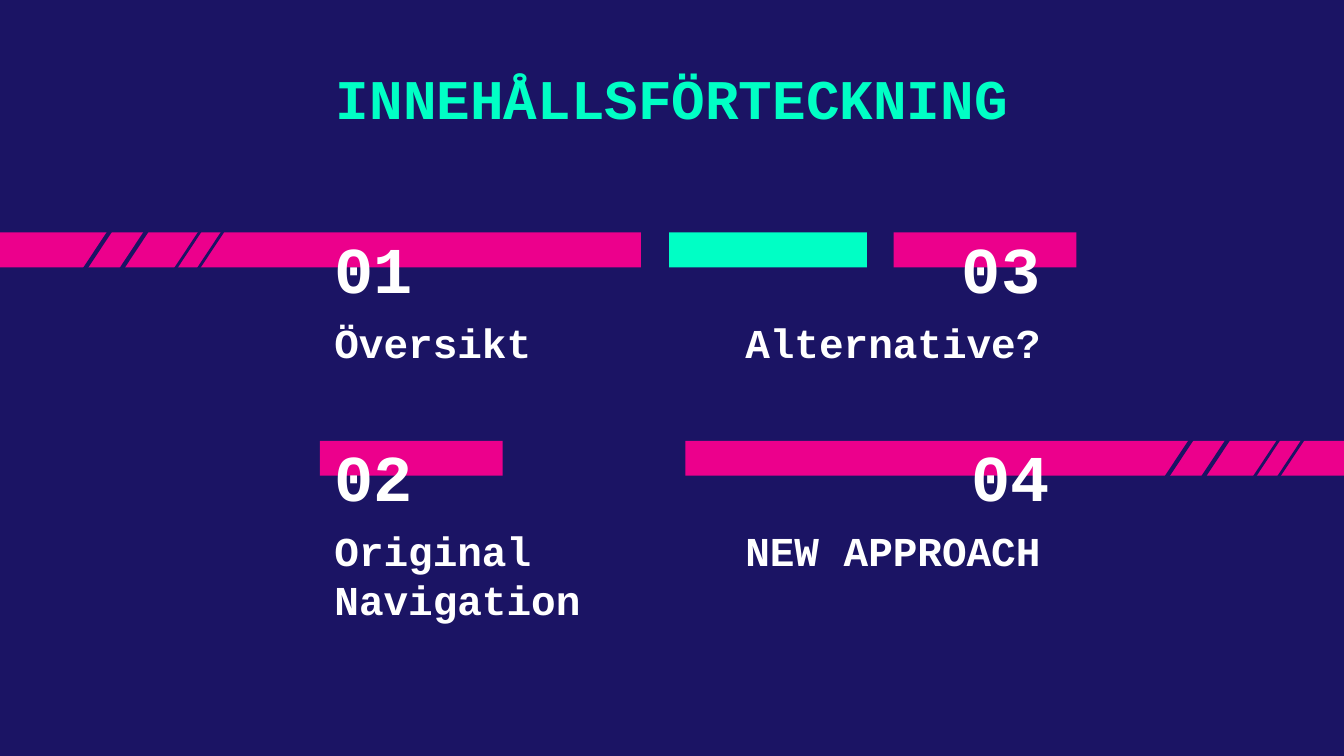
import pptx
import pptx.util
import pptx.dml.color
import pptx.enum.shapes
import pptx.enum.text
import lxml.etree

Inches = pptx.util.Inches
Color = pptx.dml.color.RGBColor
Align = pptx.enum.text.PP_ALIGN
Anchor = pptx.enum.text.MSO_ANCHOR

NAVY = Color(0x1B, 0x14, 0x64)
PINK = Color(0xEC, 0x00, 0x8C)
MINT = Color(0x00, 0xFF, 0xC5)
WHITE = Color(0xFF, 0xFF, 0xFF)
FONT = "Courier New"
WIDE = 10
HIGH = WIDE * 9 / 16

TITLE = "INNEHÅLLSFÖRTECKNING"
# number, its left; caption, its left and width; row, alignment
TOPICS = [
    ("01", 2.39, "Översikt", 2.39, 2.37, 0, Align.LEFT),
    ("02", 2.39, "Original Navigation", 2.39, 3.38, 1, Align.LEFT),
    ("03", 5.47, "Alternative?", 4.69, 3.15, 0, Align.RIGHT),
    ("04", 5.54, "NEW APPROACH", 4.69, 3.15, 1, Align.RIGHT),
]
# row, left, right, colour
BARS = [
    (0, 0, 4.77, PINK),
    (0, 6.65, 8.01, PINK),
    (1, 2.38, 3.74, PINK),
    (1, 5.1, WIDE, PINK),
    (0, 4.98, 6.45, MINT),
]
# row, upper end x, rise above the bar, line width
CUTS = [
    (0, 1.03, 0.33, 2.25), (0, 1.19, 0.16, 2.25),
    (0, 1.53, 0.07, 1.5), (0, 1.7, 0.07, 1.5),
    (1, 9.25, 0.59, 2.25), (1, 9.41, 0.42, 2.25),
    (1, 9.57, 0.09, 1.5), (1, 9.75, 0.09, 1.5),
]
TOP, STEP, THICK = 1.73, 1.55, 0.26
RUN, DROP = 0.57, 0.86  # slant of every cut


def row_top(row):
    return TOP + row * STEP


def add_bar(slide, row, left, right, color):
    bar = slide.shapes.add_shape(
        pptx.enum.shapes.MSO_SHAPE.RECTANGLE, Inches(left),
        Inches(row_top(row)), Inches(right - left), Inches(THICK))
    bar.shadow.inherit = False
    bar.fill.solid()
    bar.fill.fore_color.rgb = color
    bar.line.fill.background()


def add_cut(slide, row, x, rise, width):
    """Draw a slanted background-coloured line across a bar."""
    y = row_top(row) - rise
    cut = slide.shapes.add_connector(
        pptx.enum.shapes.MSO_CONNECTOR.STRAIGHT, Inches(x), Inches(y),
        Inches(x - RUN), Inches(y + DROP))
    cut.line.color.rgb = NAVY
    cut.line.width = pptx.util.Pt(width)
    lxml.etree.SubElement(cut._element.spPr, pptx.oxml.ns.qn("a:effectLst"))


def add_text(slide, text, box, size, color, align, anchor=Anchor.TOP, pad=0):
    frame = slide.shapes.add_textbox(*map(Inches, box)).text_frame
    frame.word_wrap = True
    frame.vertical_anchor = anchor
    frame.margin_left = frame.margin_right = Inches(0.1)
    frame.margin_top = frame.margin_bottom = Inches(pad)
    line = frame.paragraphs[0]
    line.alignment = align
    run = line.add_run()
    run.text = text
    run.font.name = FONT
    run.font.size = pptx.util.Pt(size)
    run.font.bold = True
    run.font.color.rgb = color


def main():
    deck = pptx.Presentation()
    deck.slide_width, deck.slide_height = Inches(WIDE), Inches(HIGH)
    slide = deck.slides.add_slide(deck.slide_layouts[6])
    slide.background.fill.solid()
    slide.background.fill.fore_color.rgb = NAVY

    for bar in BARS:
        add_bar(slide, *bar)
    for cut in CUTS:
        add_cut(slide, *cut)
    add_text(slide, TITLE, (1.4, 0.37, WIDE - 2 * 1.4, 0.73), 30, MINT,
             Align.CENTER, pad=0.1)
    for num, num_x, name, name_x, width, row, align in TOPICS:
        top = row_top(row)
        add_text(slide, num, (num_x, top - 0.08, 2.37, 0.63), 35, WHITE,
                 align, Anchor.BOTTOM)
        add_text(slide, name, (name_x, top + 0.63, width, 0.47), 22, WHITE,
                 align)
    deck.save("out.pptx")


if __name__ == "__main__":
    main()
